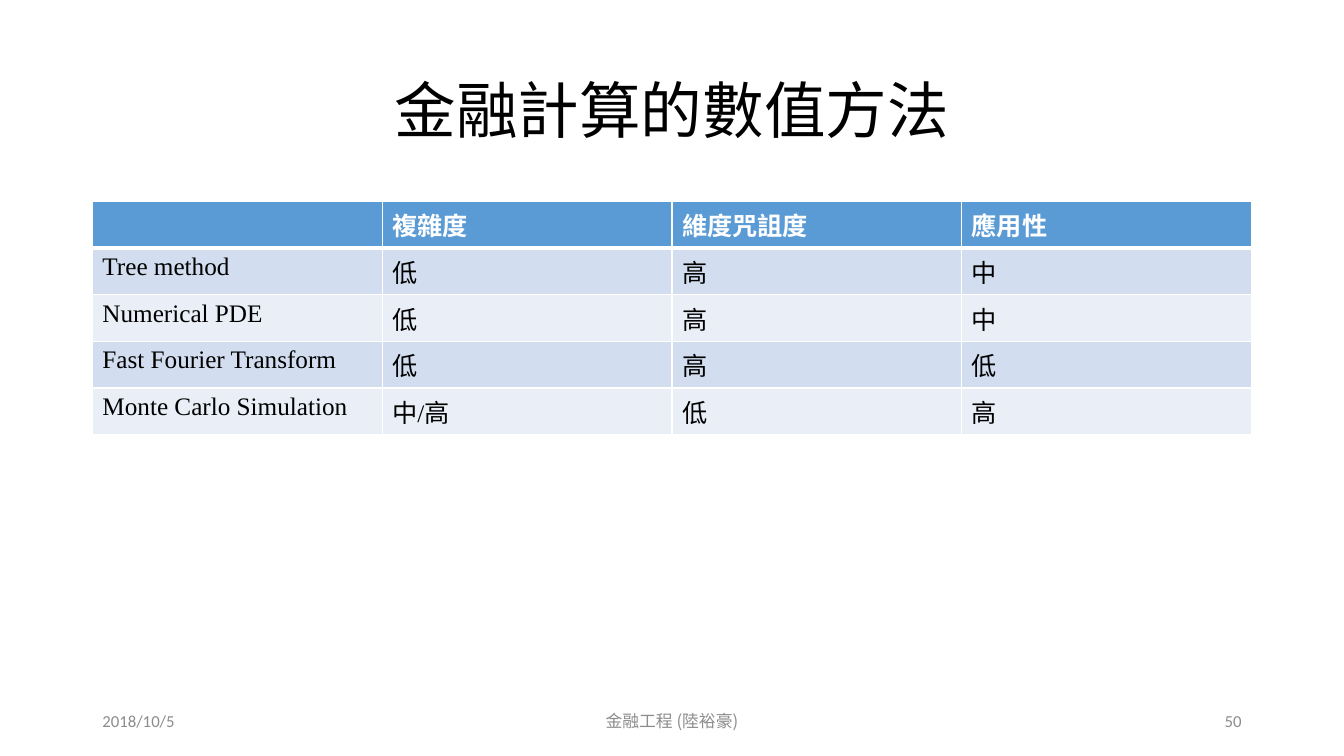
from dataclasses import dataclass

from lxml import etree
from pptx import Presentation
from pptx.dml.color import RGBColor
from pptx.enum.text import MSO_ANCHOR, PP_ALIGN
from pptx.oxml.ns import qn
from pptx.util import Pt

LEFT, CENTER, RIGHT = PP_ALIGN.LEFT, PP_ALIGN.CENTER, PP_ALIGN.RIGHT
MIDDLE = MSO_ANCHOR.MIDDLE

SERIF = "Times New Roman"
SANS = "Calibri"
CJK = "Noto Sans CJK SC"
BLACK, WHITE, GRAY = "000000", "FFFFFF", "8C8C8C"
HEADER_FILL = "5B9BD5"
BAND_FILLS = ("D2DEEF", "EAEFF7")

MARGIN = 66
CONTENT_WIDTH = 828
TABLE_TOP = 144
ROW_HEIGHT = 29.2
FOOTER_TOP = 500.5
FOOTER_HEIGHT = 28.8

METHODS = (
    ("", "複雜度", "維度咒詛度", "應用性"),
    ("Tree method", "低", "高", "中"),
    ("Numerical PDE", "低", "高", "中"),
    ("Fast Fourier Transform", "低", "高", "低"),
    ("Monte Carlo Simulation", "中/高", "低", "高"),
)


@dataclass(frozen=True)
class Label:
    text: str
    left: float
    top: float
    width: float
    height: float
    align: PP_ALIGN
    font: str
    size: float = 12
    color: str = GRAY
    line_spacing: float = 1.0


LABELS = (
    Label("金融計算的數值方法", MARGIN, 28.8, CONTENT_WIDTH, 104.4, CENTER,
          SERIF, 44, BLACK, 0.9),
    Label("2018/10/5", MARGIN, FOOTER_TOP, 216, FOOTER_HEIGHT, LEFT, SANS),
    Label("金融工程 (陸裕豪)", 318, FOOTER_TOP, 324, FOOTER_HEIGHT, CENTER, CJK),
    Label("50", 678, FOOTER_TOP, 216, FOOTER_HEIGHT, RIGHT, SANS),
)


def rgb(color: str) -> RGBColor:
    return RGBColor.from_string(color)


def style_font(font, name: str, size: float, color: str, bold: bool = False) -> None:
    font.name = name
    font.size = Pt(size)
    font.bold = bold
    font.color.rgb = rgb(color)


def add_label(slide, label: Label) -> None:
    box = slide.shapes.add_textbox(
        Pt(label.left), Pt(label.top), Pt(label.width), Pt(label.height))
    frame = box.text_frame
    frame.word_wrap = True
    frame.vertical_anchor = MIDDLE
    paragraph = frame.paragraphs[0]
    paragraph.text = label.text
    paragraph.alignment = label.align
    paragraph.line_spacing = label.line_spacing
    style_font(paragraph.font, label.font, label.size, label.color)


def set_borders(cell, top: float, bottom: float) -> None:
    """Draw white borders, 1 pt at the sides; they must precede the fill."""
    properties = cell._tc.get_or_add_tcPr()
    widths = {"a:lnL": 1, "a:lnR": 1, "a:lnT": top, "a:lnB": bottom}
    for position, (tag, width) in enumerate(widths.items()):
        line = etree.Element(qn(tag), w=str(Pt(width)))
        fill = etree.SubElement(line, qn("a:solidFill"))
        etree.SubElement(fill, qn("a:srgbClr"), val=WHITE)
        properties.insert(position, line)


def add_methods_table(slide) -> None:
    row_count, column_count = len(METHODS), len(METHODS[0])
    table = slide.shapes.add_table(
        row_count, column_count, Pt(MARGIN), Pt(TABLE_TOP),
        Pt(CONTENT_WIDTH), Pt(ROW_HEIGHT * row_count)).table
    table.horz_banding = False
    for column in table.columns:
        column.width = Pt(CONTENT_WIDTH / column_count)
    for r, values in enumerate(METHODS):
        is_header = r == 0
        table.rows[r].height = Pt(ROW_HEIGHT)
        for c, value in enumerate(values):
            cell = table.cell(r, c)
            cell.text = value
            cell.fill.solid()
            cell.fill.fore_color.rgb = rgb(
                HEADER_FILL if is_header else BAND_FILLS[(r - 1) % 2])
            set_borders(cell, top=3 if r == 1 else 1, bottom=3 if is_header else 1)
            style_font(cell.text_frame.paragraphs[0].font, SERIF, 18,
                       WHITE if is_header else BLACK, is_header)


def main() -> None:
    presentation = Presentation()
    presentation.slide_width = Pt(960)
    presentation.slide_height = Pt(540)
    slide = presentation.slides.add_slide(presentation.slide_layouts[6])
    add_methods_table(slide)
    for label in LABELS:
        add_label(slide, label)
    presentation.save("out.pptx")


if __name__ == "__main__":
    main()
